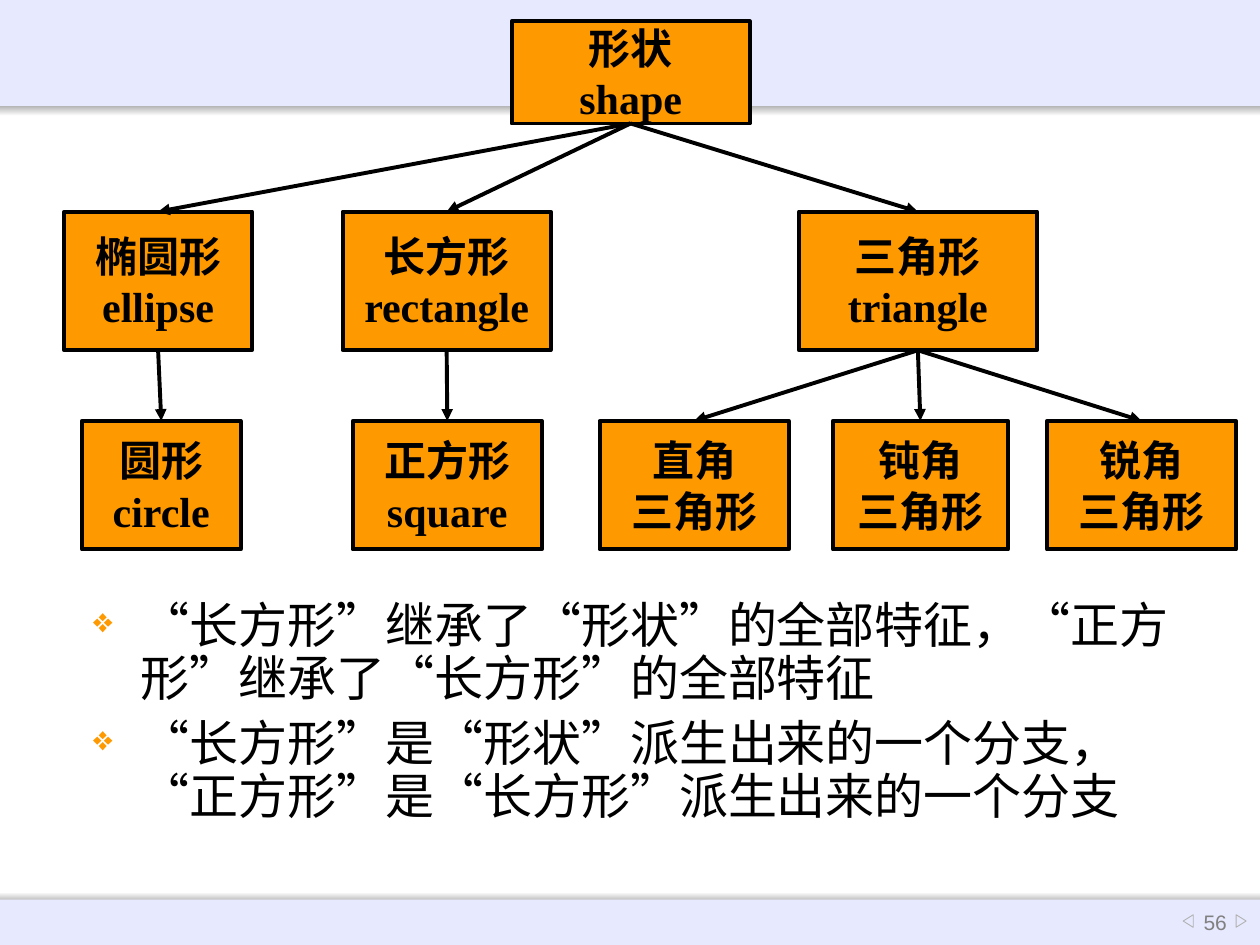
from lxml import etree
from pptx import Presentation
from pptx.dml.color import RGBColor
from pptx.enum import shapes, text
from pptx.oxml.ns import qn
from pptx.util import Inches, Pt

LAVENDER = RGBColor(0xE7, 0xE9, 0xFF)
ORANGE = RGBColor(0xFF, 0x99, 0x00)
BLACK = RGBColor(0x00, 0x00, 0x00)
WHITE = RGBColor(0xFF, 0xFF, 0xFF)
SILVER = RGBColor(0xB2, 0xB2, 0xB2)
GRAY = RGBColor(0x80, 0x80, 0x80)
SHAPE = shapes.MSO_SHAPE


def add_plain_shape(kind, left, top, width, height):
    shape = slide.shapes.add_shape(
        kind, Inches(left), Inches(top), Inches(width), Inches(height))
    shape.shadow.inherit = False
    return shape


def style_font(font, name, size, color, bold=False):
    font.name, font.size, font.bold = name, Pt(size), bold
    font.color.rgb = color


prs = Presentation()
prs.slide_width, prs.slide_height = Inches(10), Inches(7.5)
slide = prs.slides.add_slide(prs.slide_layouts[6])

# Header and footer bands, each with a soft edge fading to white
for top, angle in ((7.08, 90), (0.84, 270)):
    edge = add_plain_shape(SHAPE.RECTANGLE, 0, top, 10, 0.08)
    edge.line.fill.background()
    edge.fill.gradient()
    edge.fill.gradient_angle = angle
    for stop, color in zip(edge.fill.gradient_stops, (SILVER, WHITE)):
        stop.color.rgb = color
for top, height in ((7.14, 0.36), (0, 0.84)):
    band = add_plain_shape(SHAPE.RECTANGLE, 0, top, 10, height)
    band.fill.solid()
    band.fill.fore_color.rgb = LAVENDER
    band.line.fill.background()

# Page number between two small arrows
page_number = slide.shapes.add_textbox(
    Inches(9.33), Inches(7.14), Inches(0.63), Inches(0.36))
frame = page_number.text_frame
frame.word_wrap = True
frame.vertical_anchor = text.MSO_ANCHOR.MIDDLE
frame.margin_left = frame.margin_right = frame.margin_top = frame.margin_bottom = 0
frame.text = "56"
frame.paragraphs[0].alignment = text.PP_ALIGN.CENTER
style_font(frame.paragraphs[0].runs[0].font, "Arial", 12, GRAY)
for left, rotation in ((9.8, 90), (9.38, 270)):
    page_arrow = add_plain_shape(SHAPE.ISOSCELES_TRIANGLE, left, 7.27, 0.1, 0.08)
    page_arrow.rotation = rotation
    page_arrow.fill.background()
    page_arrow.line.color.rgb = SILVER
    page_arrow.line.width = Pt(0.5)

# Explanation below the tree
explanation = slide.shapes.add_textbox(
    Inches(0.64), Inches(4.72), Inches(8.78), Inches(2.35))
frame = explanation.text_frame
frame.word_wrap = True
statements = (
    "“长方形”继承了“形状”的全部特征，“正方形”继承了“长方形”的全部特征",
    "“长方形”是“形状”派生出来的一个分支，“正方形”是“长方形”派生出来的一个分支",
)
for i, statement in enumerate(statements):
    paragraph = frame.add_paragraph() if i else frame.paragraphs[0]
    paragraph.text = statement
    paragraph.line_spacing = 0.9
    paragraph.space_before = Pt(7 if i else 0)
    props = paragraph._p.get_or_add_pPr()
    props.set("marL", str(Inches(0.38)))
    props.set("indent", str(-Inches(0.38)))
    bullet_color = etree.SubElement(props, qn("a:buClr"))
    etree.SubElement(bullet_color, qn("a:srgbClr"), val=str(ORANGE))
    etree.SubElement(props, qn("a:buSzPct"), val="70000")
    etree.SubElement(props, qn("a:buChar"), char="❖")
    style_font(paragraph.runs[0].font, "Times New Roman", 28, BLACK)

# Class tree: first line, second line, parent, left, width for each level
levels = (
    (0.17, 0.81, (("形状", "shape", None, 4.06, 1.89),)),
    (1.68, 1.1, (("椭圆形", "ellipse", "形状", 0.51, 1.49),
                 ("长方形", "rectangle", "形状", 2.72, 1.65),
                 ("三角形", "triangle", "形状", 6.34, 1.89))),
    (3.34, 1.02, (("圆形", "circle", "椭圆形", 0.65, 1.26),
                  ("正方形", "square", "长方形", 2.8, 1.5),
                  ("直角", "三角形", "三角形", 4.76, 1.5),
                  ("钝角", "三角形", "三角形", 6.61, 1.39),
                  ("锐角", "三角形", "三角形", 8.31, 1.5))),
)
BOTTOM_SITE, TOP_SITE = 2, 0
nodes = {}
for top, height, members in levels:
    for name, second_line, parent, left, width in members:
        node = add_plain_shape(SHAPE.FLOWCHART_PROCESS, left, top, width, height)
        nodes[name] = node
        node.fill.solid()
        node.fill.fore_color.rgb = ORANGE
        node.line.color.rgb = BLACK
        node.line.width = Pt(2.25)
        frame = node.text_frame
        frame.word_wrap = False
        frame.vertical_anchor = text.MSO_ANCHOR.MIDDLE
        frame.text = f"{name}\n{second_line}"
        for paragraph in frame.paragraphs:
            paragraph.alignment = text.PP_ALIGN.CENTER
            style_font(paragraph.runs[0].font, "Times New Roman", 24, BLACK, True)

    for name, _, parent, _, _ in members:
        if parent is None:
            continue
        branch = slide.shapes.add_connector(shapes.MSO_CONNECTOR.STRAIGHT, 0, 0, 0, 0)
        branch.begin_connect(nodes[parent], BOTTOM_SITE)
        branch.end_connect(nodes[name], TOP_SITE)
        branch.line.color.rgb = BLACK
        branch.line.width = Pt(2.25)
        etree.SubElement(branch.line._get_or_add_ln(), qn("a:tailEnd"), type="triangle")
        etree.SubElement(branch._element.spPr, qn("a:effectLst"))

prs.save("out.pptx")
